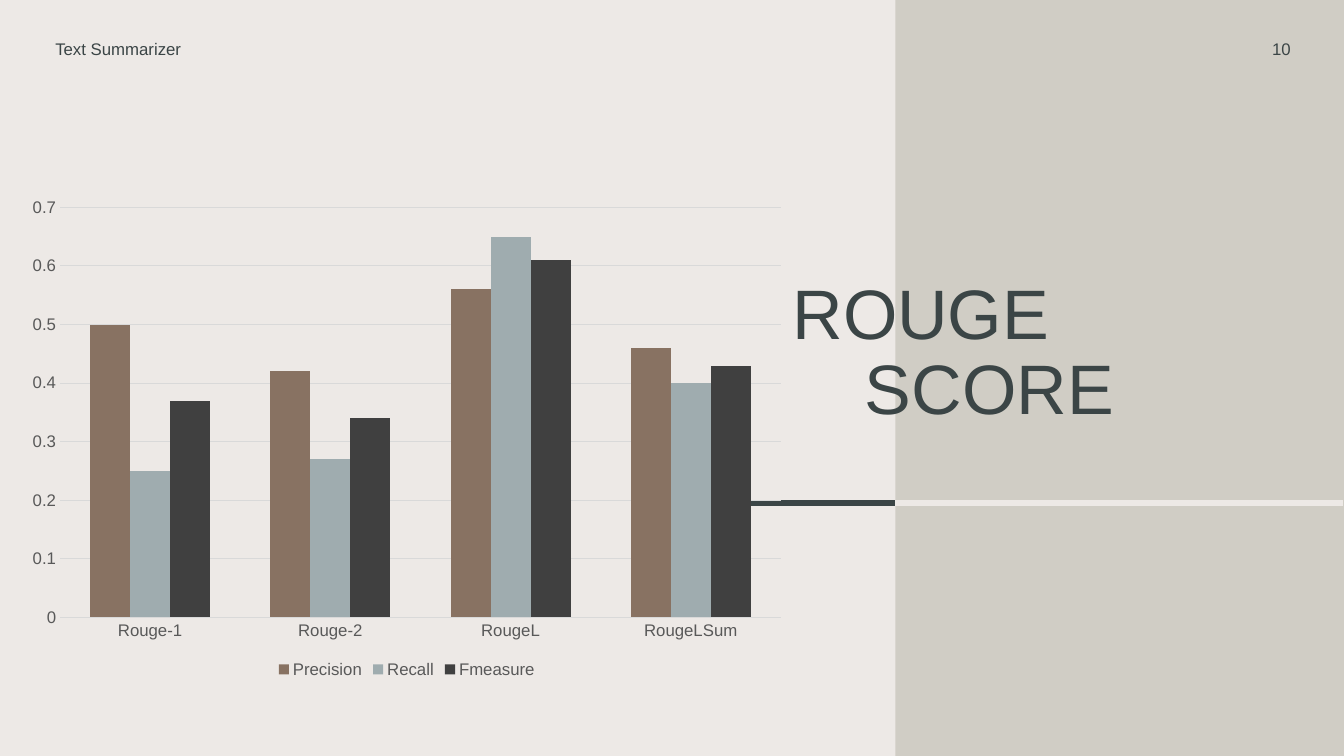
from pptx import Presentation
from pptx.chart.data import CategoryChartData
from pptx.dml.color import RGBColor
from pptx.enum.chart import XL_CHART_TYPE as Kind, XL_LEGEND_POSITION as Pos, XL_TICK_MARK as Tick
from pptx.enum.shapes import MSO_CONNECTOR as Link, MSO_SHAPE as Shape
from pptx.enum.text import MSO_ANCHOR as Anchor, PP_ALIGN as Align
from pptx.oxml.ns import qn
from pptx.util import Inches, Pt
from lxml import etree

COLORS = {
    "back": "EDE9E6", "panel": "D0CDC5", "ink": "3B4546",
    "label": "595959", "grid": "D9D9D9",
    "Precision": "887262", "Recall": "9FACAF", "Fmeasure": "404040",
}
SCORES = {
    "Precision": (0.5, 0.42, 0.56, 0.46),
    "Recall": (0.25, 0.27, 0.65, 0.4),
    "Fmeasure": (0.37, 0.34, 0.61, 0.43),
}


def color(name):
    return RGBColor.from_string(COLORS[name])


def write(box, text, size, anchor, align=Align.LEFT):
    frame = box.text_frame
    frame.word_wrap = True
    frame.vertical_anchor = anchor
    frame.text = text
    para = frame.paragraphs[0]
    para.alignment = align
    para.line_spacing = 1.0
    para.font.name = "Arial"
    para.font.size = Pt(size)
    para.font.color.rgb = color("ink")


prs = Presentation()
prs.slide_width, prs.slide_height = Inches(13.33), Inches(7.5)
slide = prs.slides.add_slide(prs.slide_layouts[5])
shapes = slide.shapes
slide.background.fill.solid()
slide.background.fill.fore_color.rgb = color("back")

# Side panel and the rule that crosses its edge
panel = shapes.add_shape(Shape.RECTANGLE, Inches(8.88), 0, Inches(4.45), Inches(7.5))
panel.shadow.inherit = False
panel.fill.solid()
panel.fill.fore_color.rgb = color("panel")
panel.line.fill.background()

for left, right, tone in ((6.91, 8.88, "ink"), (8.88, 13.32, "back")):
    rule = shapes.add_connector(Link.STRAIGHT, Inches(left), Inches(4.99),
                                Inches(right), Inches(4.99))
    rule.line.color.rgb = color(tone)
    rule.line.width = Pt(4.5)
    etree.SubElement(rule._element.spPr, qn("a:effectLst"))

# Header
for text, left, width, align in (("Text Summarizer", 0.45, 2, Align.LEFT),
                                 ("10", 11.07, 1.83, Align.RIGHT)):
    box = shapes.add_textbox(Inches(left), Inches(0.33), Inches(width), Inches(0.3))
    write(box, text, 12, Anchor.MIDDLE, align)

# Title in two staggered lines, raised above the panel
title = shapes.title
title.left, title.top = Inches(7.76), Inches(2.62)
title.width, title.height = Inches(4.69), Inches(1.84)
write(title, "ROUGE", 50, Anchor.TOP)
panel._element.getparent().append(title._element)
second = shapes.add_textbox(Inches(8.48), Inches(3.37), Inches(4.69), Inches(1.84))
write(second, "SCORE", 50, Anchor.TOP)

# Score chart
data = CategoryChartData()
data.categories = ["Rouge-1", "Rouge-2", "RougeL", "RougeLSum"]
for name, values in SCORES.items():
    data.add_series(name, values)
chart = shapes.add_chart(Kind.COLUMN_CLUSTERED, Inches(0.17), Inches(1.87),
                         Inches(7.73), Inches(4.9), data).chart
chart.has_title = False
chart.font.name = "Arial"
chart.font.size = Pt(12)
chart.font.color.rgb = color("label")
chart.has_legend = True
chart.legend.position = Pos.BOTTOM
chart.legend.include_in_layout = False

plot = chart.plots[0]
plot.gap_width = 150
plot.overlap = 0
plot.vary_by_categories = False
for series in plot.series:
    series.format.fill.solid()
    series.format.fill.fore_color.rgb = color(series.name)

for axis in (chart.category_axis, chart.value_axis):
    axis.major_tick_mark = axis.minor_tick_mark = Tick.NONE
    axis.format.line.fill.background()
scale = chart.value_axis
scale.minimum_scale, scale.maximum_scale, scale.major_unit = 0, 0.7, 0.1
scale.major_gridlines.format.line.color.rgb = color("grid")
scale.major_gridlines.format.line.width = Pt(0.75)

prs.save("out.pptx")
